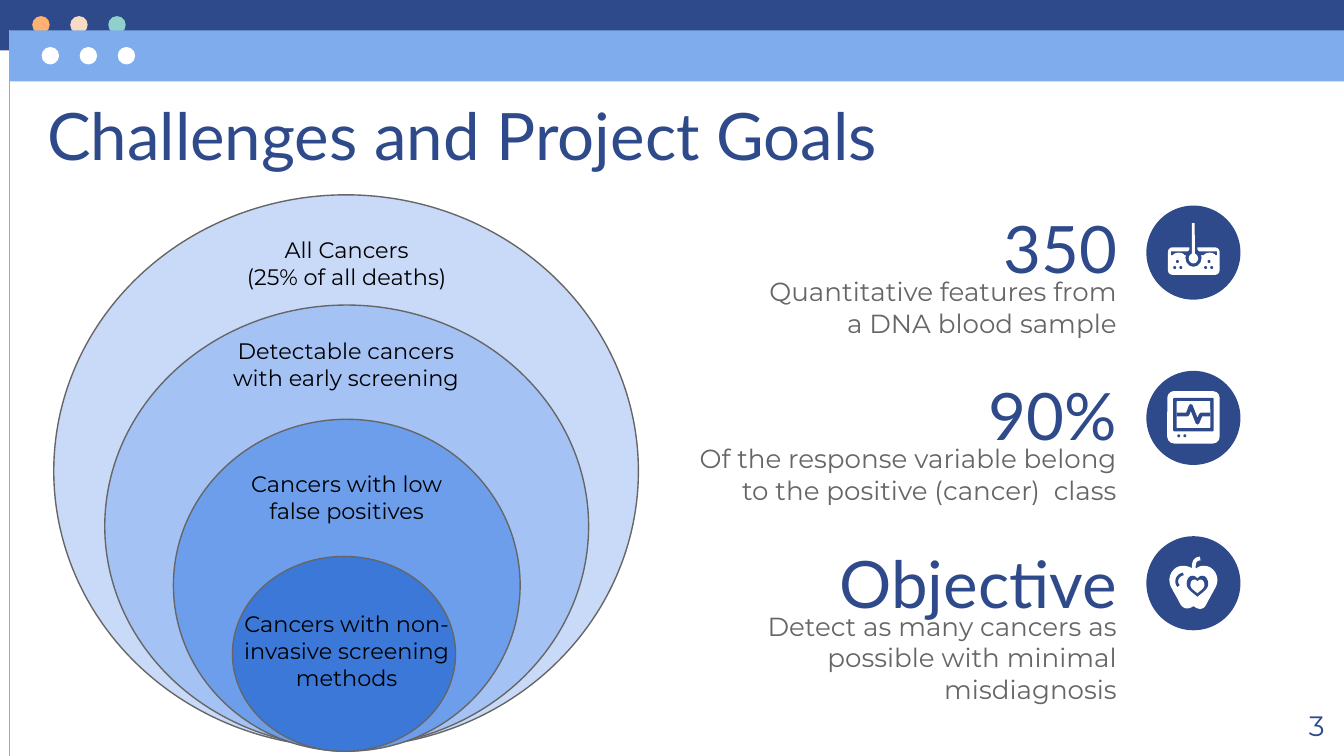
from dataclasses import dataclass

from lxml import etree
from pptx import Presentation
from pptx.dml.color import RGBColor
from pptx.enum.shapes import MSO_CONNECTOR, MSO_SHAPE
from pptx.enum.text import MSO_ANCHOR, PP_ALIGN
from pptx.oxml.ns import qn
from pptx.util import Inches, Pt

OVAL, RECT, ROUND = MSO_SHAPE.OVAL, MSO_SHAPE.RECTANGLE, MSO_SHAPE.ROUNDED_RECTANGLE
STRAIGHT = MSO_CONNECTOR.STRAIGHT
LEFT, MID, RIGHT = PP_ALIGN.LEFT, PP_ALIGN.CENTER, PP_ALIGN.RIGHT
TOP, BOTTOM = MSO_ANCHOR.TOP, MSO_ANCHOR.BOTTOM

WIDE, HIGH = Inches(10), Inches(5.625)
CELL = WIDE / 100  # square grid: 100 columns by 56.25 rows


@dataclass(frozen=True)
class Theme:
    navy: str = "2F4A8A"
    sky: str = "7EACEC"
    white: str = "FFFFFF"
    gray: str = "666666"
    black: str = "000000"
    dots: tuple = ("FFB172", "F8DBC4", "90D1CB")
    rings: tuple = ("C9DAF8", "A4C2F4", "6D9EEB", "3C78D8")
    head: str = "Lato"
    body: str = "Montserrat"
    big: float = 35
    page: float = 15
    note: float = 14
    label: float = 12
    thin: float = 0.75


T = Theme()

RINGS = [
    # oval, label box, label lines
    ((4, 14.5, 43.5, 41.1), (17.1, 16.6, 17.4, 3.9), ("All Cancers", "(25% of all deaths)")),
    ((7.8, 22.7, 36, 32.9), (14.5, 24.1, 22.5, 6.4), ("Detectable cancers", "with early screening")),
    ((12.9, 31.2, 25.8, 24.7), (16.1, 34, 19.4, 3.9), ("Cancers with low false positives",)),
    ((17.3, 41.4, 16.6, 14.5), (17.1, 44.4, 17.4, 10.1),
     ("Cancers with non-invasive screening methods",)),
]
GOALS = [
    # heading, note, left column of the note
    ("350", "Quantitative features from a DNA blood sample", 55.1),
    ("90%", "Of the response variable belong to the positive (cancer)  class", 48.8),
    ("Objective", "Detect as many cancers as possible with minimal misdiagnosis", 48.8),
]


def emu(*cells):
    return [round(c * CELL) for c in cells]


def paint(shape, fill=None, edge=None, width=T.thin):
    shape.shadow.inherit = False
    if fill:
        shape.fill.solid()
        shape.fill.fore_color.rgb = RGBColor.from_string(fill)
    else:
        shape.fill.background()
    if edge:
        shape.line.color.rgb = RGBColor.from_string(edge)
        shape.line.width = Pt(width)
    else:
        shape.line.fill.background()
    return shape


def block(slide, kind, box, fill, edge=None):
    return paint(slide.shapes.add_shape(kind, *emu(*box)), fill, edge)


def outline(slide, dots, fill=None, edge=None, width=T.thin):
    pts = [emu(*dot) for dot in dots]
    pen = slide.shapes.build_freeform(*pts[0])
    pen.add_line_segments(pts[1:], close=bool(fill))
    return paint(pen.convert_to_shape(), fill, edge, width)


def write(shape, lines, face, size, tint, align=LEFT, anchor=TOP):
    frame = shape.text_frame
    look = dict(word_wrap=True, vertical_anchor=anchor)
    look.update({f"margin_{s}": Inches(0.1) for s in ("left", "right", "top", "bottom")})
    for key, value in look.items():
        setattr(frame, key, value)
    frame.text = "\n".join(lines)
    for para in frame.paragraphs:
        para.alignment = align
        for key, value in dict(name=face, size=Pt(size), bold=False).items():
            setattr(para.font, key, value)
        para.font.color.rgb = RGBColor.from_string(tint)


def text(slide, box, lines, *style):
    write(slide.shapes.add_textbox(*emu(*box)), lines, *style)


def smooth(start, *arcs, steps=8):
    """Sample a chain of cubic curves, each given as two handles and an end."""
    dots = [start]
    for a, b, c in arcs:
        p = dots[-1]
        for i in range(1, steps + 1):
            t = i / steps
            u = 1 - t
            dots.append(tuple(u**3 * p[k] + 3 * u * u * t * a[k]
                              + 3 * u * t * t * b[k] + t**3 * c[k] for k in (0, 1)))
    return dots


def shift(dots, x, y, size=1):
    return [(x + dx * size, y + dy * size) for dx, dy in dots]


def specks(slide, x, y, spots):
    for dx, dy in spots:
        block(slide, OVAL, (x + dx, y + dy, 0.22, 0.22), T.navy)


def skin(slide, x, y):
    parts = [
        (ROUND, (1.6, 3.1, 3.85, 2.05), T.white),
        (RECT, (1.85, 3.4, 3.4, 0.3), T.navy),
        (OVAL, (1.95, 3.5, 0.9, 0.5), T.white),
        (OVAL, (4.25, 3.5, 0.9, 0.5), T.white),
        (OVAL, (2.9, 3.2, 1.2, 1.35), T.navy),
        (RECT, (3.2, 3.05, 0.6, 0.5), T.navy),
        (OVAL, (3.15, 3.55, 0.7, 0.75), T.white),
        (ROUND, (3.38, 1.3, 0.22, 2.6), T.white),
    ]
    for kind, (dx, dy, w, h), fill in parts:
        block(slide, kind, (x + dx, y + dy, w, h), fill)
    specks(slide, x, y, [(2.2, 4.05), (4.55, 4.05)] + [(c, 4.5) for c in (2, 2.45, 4.3, 4.75)])


def screen(slide, x, y):
    parts = [(1.55, 1.5, 3.9, T.white, 3.9), (2, 2, 3, T.navy, 2.5),
             (2.25, 2.25, 2.5, T.white, 2)]
    for dx, dy, w, fill, h in parts:
        shape = block(slide, ROUND, (x + dx, y + dy, w, h), fill)
        shape.adjustments[0] = 0.13 if w > 3 else 0.03
    pulse = [(2.25, 3.25), (3.05, 3.25), (3.3, 2.6), (3.8, 3.85), (4.05, 3.25), (4.75, 3.25)]
    outline(slide, shift(pulse, x, y), edge=T.navy, width=2)
    specks(slide, x, y, [(2.3, 4.72), (2.75, 4.72)])


def apple(slide, x, y):
    body = smooth(
        (3.6, 2.5), ((3.8, 2.3), (4, 2.2), (4.3, 2.2)), ((5, 2.2), (5.5, 3), (5.2, 3.7)),
        ((5, 4.1), (4.7, 4.6), (4.5, 5)), ((4.3, 5.5), (3.9, 5.5), (3.5, 5.2)),
        ((3.1, 5.5), (2.7, 5.4), (2.5, 5)), ((2.3, 4.6), (2, 4.1), (1.8, 3.7)),
        ((1.5, 3), (2, 2.2), (2.7, 2.2)), ((3, 2.2), (3.3, 2.3), (3.6, 2.5)))
    heart = smooth(
        (0, -0.6), ((0.3, -1), (0.8, -0.8), (0.8, -0.2)), ((0.8, 0.2), (0.4, 0.4), (0, 0.75)),
        ((-0.4, 0.4), (-0.8, 0.2), (-0.8, -0.2)), ((-0.8, -0.8), (-0.3, -1), (0, -0.6)))
    stem = smooth((3.55, 2.6), ((3.5, 2.1), (3.5, 1.7), (4, 1.65)))
    shine = smooth((2.4, 3.7), ((2.1, 3.4), (2.3, 2.9), (2.75, 2.8)))
    outline(slide, shift(body, x, y), T.white)
    outline(slide, shift(stem, x, y), edge=T.white, width=2)
    outline(slide, shift(shine, x, y), edge=T.navy, width=1.5)
    outline(slide, shift(heart, x + 3.8, y + 3.75), T.navy)
    outline(slide, shift(heart, x + 3.8, y + 3.75, 0.65), T.white)


def bar(slide, box, fill, left, top, dots):
    block(slide, RECT, box, fill)
    for i, tint in enumerate(dots):
        block(slide, OVAL, (left + 2.83 * i, top, 1.3, 1.3), tint)


def frame(slide):
    bar(slide, (0, 0, 100, 3.75), T.navy, 2.4, 1.2, T.dots)
    bar(slide, (0.7, 2.25, 99.3, 3.8), T.sky, 3.1, 3.5, [T.white] * 3)
    rule = slide.shapes.add_connector(STRAIGHT, *emu(0.7, 2.2, 0.7, 56.25))
    rule.line.color.rgb = RGBColor.from_string(T.sky)
    rule.line.width = Pt(T.thin)
    etree.SubElement(rule._element.spPr, qn("a:effectLst"))


def title(slide, box, words):
    shape = slide.shapes.title
    for key, value in zip(("left", "top", "width", "height"), emu(*box)):
        setattr(shape, key, value)
    write(shape, [words], T.head, T.big, T.navy, LEFT, BOTTOM)


def goals(slide):
    for i, ((head, note, left), icon) in enumerate(zip(GOALS, (skin, screen, apple))):
        top = 14.5 + 12.45 * i
        text(slide, (48.8, top, 35.3, 6.4), [head], T.head, T.big, T.navy, RIGHT)
        text(slide, (left, top + 5, 84.1 - left, 4.5), [note], T.body, T.note, T.gray, RIGHT)
        disc = 15.3 + 12.3 * i
        block(slide, OVAL, (85.3, disc, 7, 7), T.navy)
        icon(slide, 85.3, disc)


def rings(slide):
    for (oval, _, _), tint in zip(RINGS, T.rings):
        block(slide, OVAL, oval, tint, T.gray)
    for _, box, lines in RINGS:
        text(slide, box, lines, T.body, T.label, T.black, MID)


def main():
    deck = Presentation()
    deck.slide_width, deck.slide_height = WIDE, HIGH
    slide = deck.slides.add_slide(deck.slide_layouts[5])
    frame(slide)
    title(slide, (2.5, 8.8, 84.4, 5.1), "Challenges and Project Goals")
    goals(slide)
    text(slide, (96.4, 51.7, 3.2, 4.5), ["3"], T.body, T.page, T.navy)
    rings(slide)
    deck.save("out.pptx")


if __name__ == "__main__":
    main()
